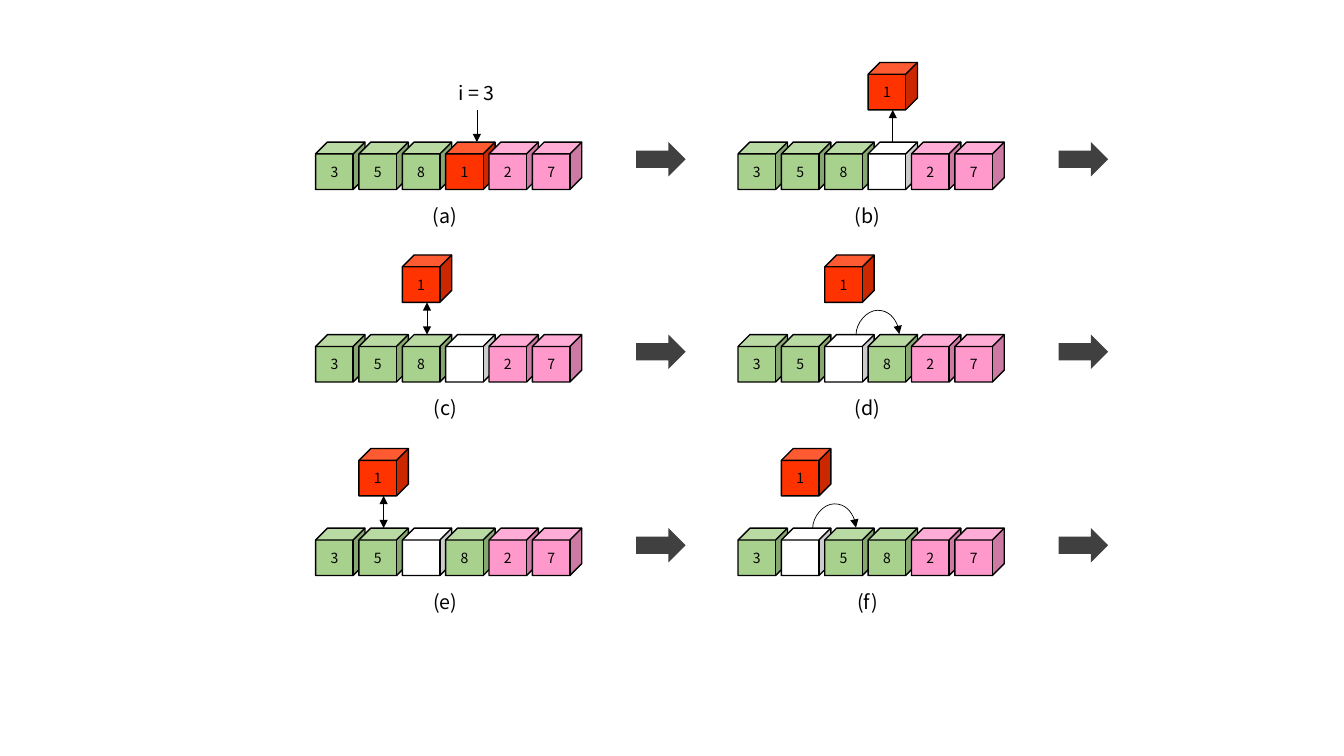
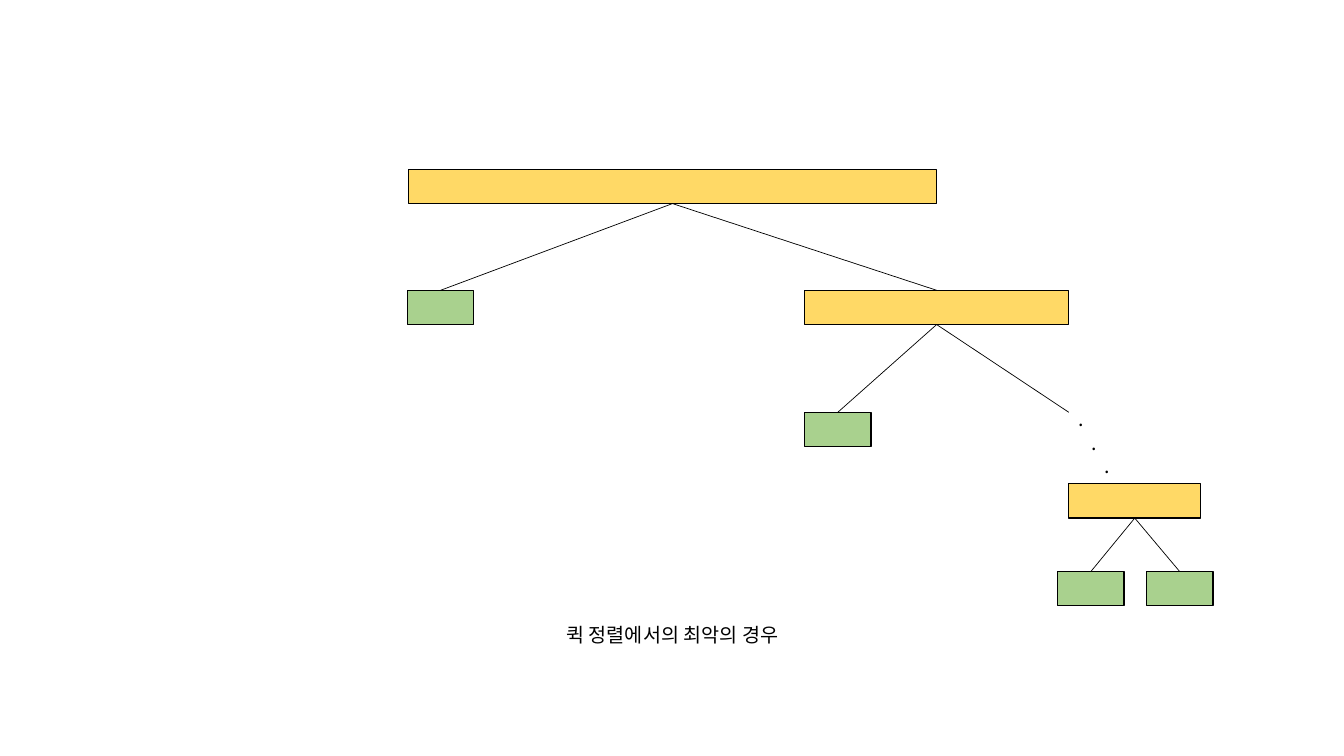
from lxml import etree
from pptx import Presentation
from pptx.dml.color import RGBColor
from pptx.enum import shapes, text
from pptx.oxml.ns import qn
from pptx.util import Inches, Pt

FONT = "Noto Sans CJK KR"
BLACK = RGBColor(0x00, 0x00, 0x00)
WHITE = RGBColor(0xFF, 0xFF, 0xFF)
GREEN = RGBColor(0xA9, 0xD1, 0x8E)
RED = RGBColor(0xFF, 0x33, 0x00)
PINK = RGBColor(0xFF, 0x99, 0xCC)
YELLOW = RGBColor(0xFF, 0xD9, 0x66)
GREY = RGBColor(0x40, 0x40, 0x40)

CELL_COLOURS = {"3": GREEN, "5": GREEN, "8": GREEN, "1": RED,
                "2": PINK, "7": PINK, " ": WHITE}
CUBE_W, CUBE_H, CUBE_PITCH = 0.49, 0.47, 0.43
LIFT = 0.79           # height of the lifted cube above its row
GAP = LIFT - CUBE_H   # space between lifted cube and row
PANEL_LEFTS = (3.13, 7.32)
PANEL_TOPS = (1.41, 3.32, 5.24)
BAR_H, LEAF_W = 0.34, 0.66


def add_run(p, content, size):
    r = p.add_run()
    r.text = content
    r.font.size = Pt(size)
    r.font.color.rgb = BLACK
    r.font.name = FONT
    etree.SubElement(r.font._element, qn("a:ea"), typeface=FONT)


def add_block(s, kind, x, y, w, h, fill, outlined=True):
    sp = s.shapes.add_shape(kind, Inches(x), Inches(y), Inches(w), Inches(h))
    sp.shadow.inherit = False
    sp.fill.solid()
    sp.fill.fore_color.rgb = fill
    if outlined:
        sp.line.color.rgb = BLACK
        sp.line.width = Pt(1)
    else:
        sp.line.fill.background()
    return sp


def add_label(s, x, y, w, h, lines, step=0):
    """Centred text; each line sits `step` inches right of the one above."""
    tf = s.shapes.add_textbox(Inches(x), Inches(y), Inches(w), Inches(h)).text_frame
    tf.word_wrap = True
    tf.auto_size = text.MSO_AUTO_SIZE.SHAPE_TO_FIT_TEXT
    for i, line in enumerate(lines):
        p = tf.add_paragraph() if i else tf.paragraphs[0]
        p.alignment = text.PP_ALIGN.CENTER
        if step:
            # A centred line moves by half of its left margin
            p._p.get_or_add_pPr().set("marL", str(Inches(2 * step * i)))
        add_run(p, line, 14)


def add_line(s, start, end, heads=(), kind=shapes.MSO_CONNECTOR.STRAIGHT):
    c = s.shapes.add_connector(kind, *(Inches(v) for v in (*start, *end)))
    c.line.color.rgb = BLACK
    c.line.width = Pt(0.5)
    ln = c.line._get_or_add_ln()
    for head in heads:
        etree.SubElement(ln, qn(f"a:{head}"), type="triangle")
    etree.SubElement(c._element.spPr, qn("a:effectLst"))
    return c


def add_hop(s, x, y, span, rise):
    """Arched arrow from (x, y) to (x + span, y): a turned curved connector."""
    thin = 0.01
    mid = x + span / 2
    c = add_line(s, (mid + thin / 2, y + span / 2), (mid - thin / 2, y - span / 2),
                 ["tailEnd"], shapes.MSO_CONNECTOR.CURVE)
    sp_pr = c._element.spPr
    sp_pr.find(qn("a:xfrm")).set("rot", "5400000")
    geom = sp_pr.find(qn("a:prstGeom"))
    guides = geom.find(qn("a:avLst"))
    if guides is None:
        guides = etree.SubElement(geom, qn("a:avLst"))
    etree.SubElement(guides, qn("a:gd"), name="adj1",
                     fmla=f"val {round(rise / thin * 100000)}")


def add_cube(s, x, y, value):
    sp = add_block(s, shapes.MSO_SHAPE.CUBE, x, y, CUBE_W, CUBE_H, CELL_COLOURS[value])
    if value != " ":
        tf = sp.text_frame
        tf.vertical_anchor = text.MSO_ANCHOR.MIDDLE
        p = tf.paragraphs[0]
        p.alignment = text.PP_ALIGN.CENTER
        add_run(p, value, 10)


def add_panel(s, x, y, name, cells, action, slot):
    """One sorting step: a row of cubes, its caption and what happens at slot."""
    for i, value in enumerate(cells):
        add_cube(s, x + i * CUBE_PITCH, y, value)
    add_label(s, x + 0.16, y + 0.56, 2.25, BAR_H, [f"({name})"])
    add_block(s, shapes.MSO_SHAPE.RIGHT_ARROW, x + 3.18, y, 0.49, 0.34, GREY, False)

    slot_x = x + slot * CUBE_PITCH
    centre = slot_x + CUBE_W / 2
    above, row_top = (centre, y - GAP), (centre, y)
    if action == "index":
        tip = slot_x + 0.31
        add_label(s, tip - 1.13, y - 0.66, 2.25, BAR_H, [f"i = {slot}"])
        add_line(s, (tip, y - GAP), (tip, y), ["tailEnd"])
        return
    add_cube(s, slot_x, y - LIFT, "1")
    if action == "lift":
        add_line(s, row_top, above, ["tailEnd"])
    elif action == "compare":
        add_line(s, above, row_top, ["headEnd", "tailEnd"])
    elif action == "shift":
        add_hop(s, slot_x + 0.31, y, CUBE_PITCH, 0.25)


def insertion_slide(prs):
    s = prs.slides.add_slide(prs.slide_layouts[6])
    steps = [("a", "358127", "index", 3), ("b", "358 27", "lift", 3),
             ("c", "358 27", "compare", 2), ("d", "35 827", "shift", 2),
             ("e", "35 827", "compare", 1), ("f", "3 5827", "shift", 1)]
    for i, step in enumerate(steps):
        row, col = divmod(i, 2)
        add_panel(s, PANEL_LEFTS[col], PANEL_TOPS[row], *step)


def add_bar(s, x, y, w, fill):
    add_block(s, shapes.MSO_SHAPE.RECTANGLE, x, y, w, BAR_H, fill)


def add_split(s, x, y, w, left_end, right_end):
    """A list bar with branches to the points where its two parts begin."""
    add_bar(s, x, y, w, YELLOW)
    for end in (left_end, right_end):
        add_line(s, (x + w / 2, y + BAR_H), end)


def worst_case_slide(prs):
    s = prs.slides.add_slide(prs.slide_layouts[6])
    add_label(s, 3.04, 6.13, 7.26, BAR_H, ["퀵 정렬에서의 최악의 경우"])
    add_split(s, 4.05, 1.68, 5.24, (4.37, 2.88), (9.29, 2.88))
    add_split(s, 7.98, 2.88, 2.62, (8.31, 4.09), (10.6, 4.09))
    add_split(s, 10.6, 4.8, 1.31, (10.82, 5.67), (11.7, 5.67))
    for x, y in [(4.04, 2.88), (7.98, 4.09), (10.49, 5.67), (11.37, 5.67)]:
        add_bar(s, x, y, LEAF_W, GREEN)
    add_label(s, 10.19, 3.99, 1.06, 0.81, [".", ".", "."], step=0.13)


def main():
    prs = Presentation()
    prs.slide_width, prs.slide_height = Inches(13.33), Inches(7.5)
    insertion_slide(prs)
    worst_case_slide(prs)
    prs.save("out.pptx")


if __name__ == "__main__":
    main()
